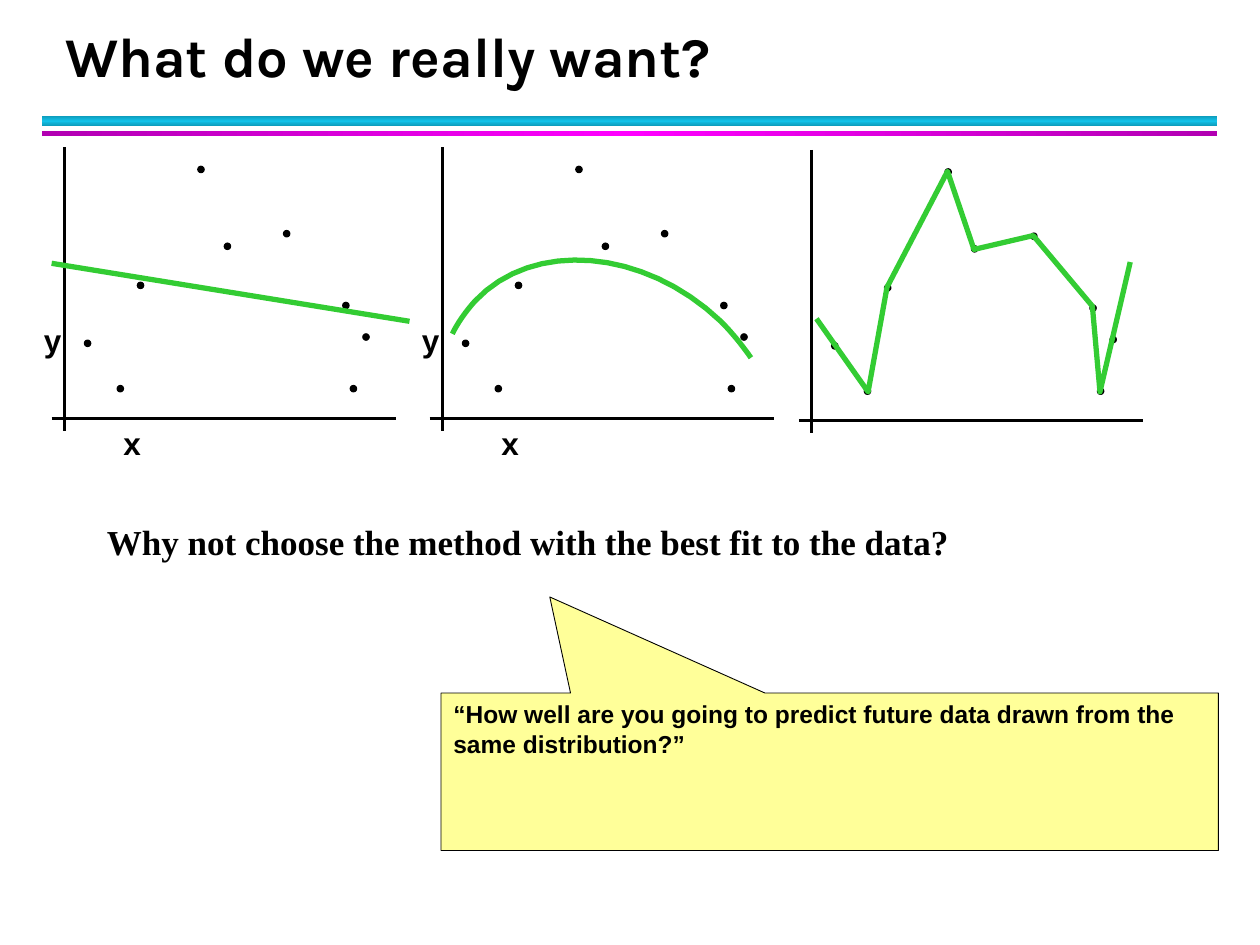
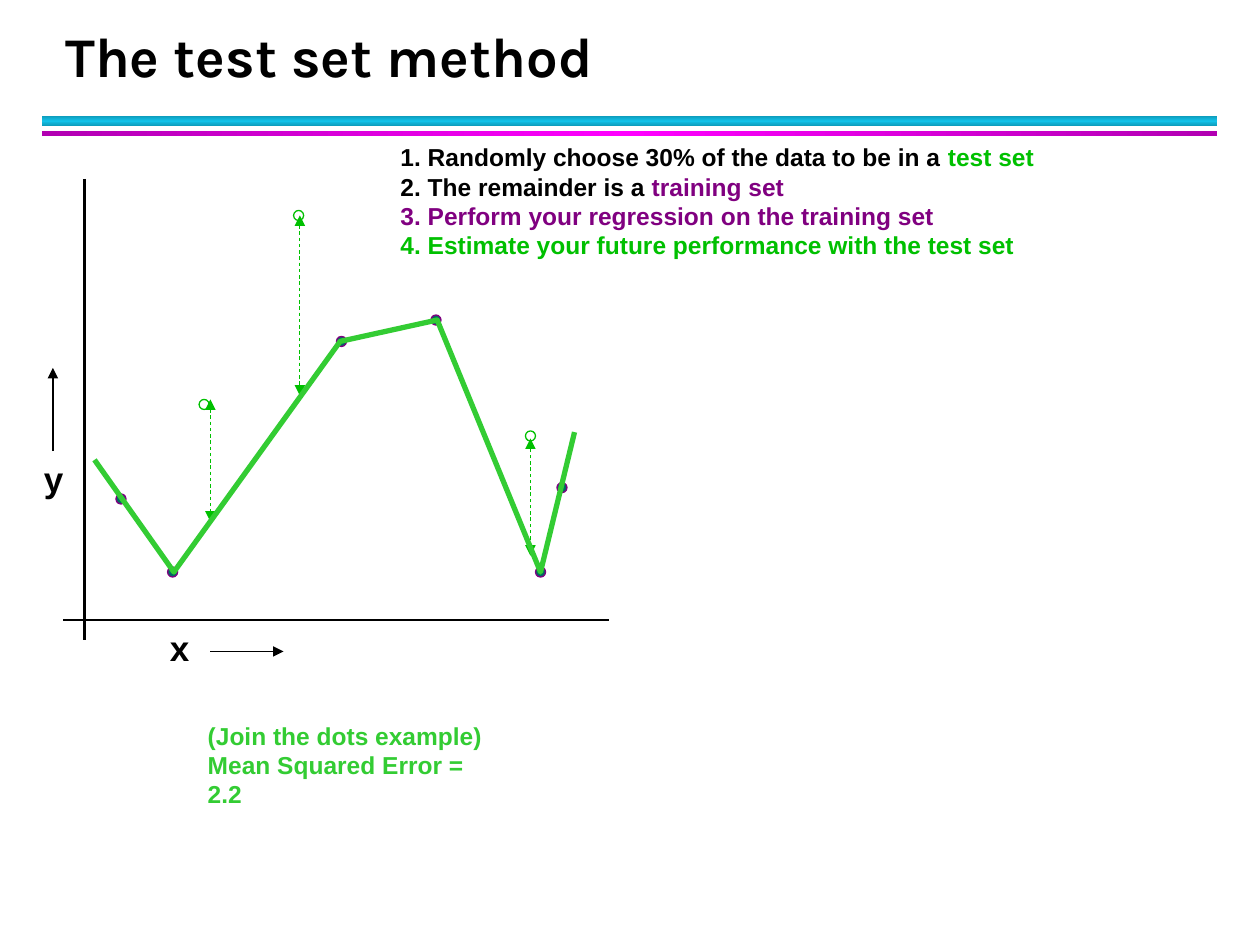
import copy
from dataclasses import dataclass
from typing import NamedTuple

import pptx
import pptx.dml.color
import pptx.enum.dml
import pptx.enum.shapes
import pptx.enum.text
import pptx.oxml.ns
import pptx.oxml.xmlchemy
import pptx.shapes.autoshape
import pptx.shapes.base
import pptx.slide
import pptx.text.text
import pptx.util
from lxml import etree

EMU_PER_PX = 9144
SHAPE = pptx.enum.shapes.MSO_SHAPE
ANCHOR = pptx.enum.text.MSO_ANCHOR


@dataclass(frozen=True)
class Theme:
    ink: str = "000000"
    paper: str = "FFFFFF"
    fit: str = "33CC33"
    test: str = "00C000"
    training: str = "800080"
    training_fill: str = "006B61"
    callout: str = "FFFF99"
    cyan_band: tuple[str, str, str] = ("0E9BBA", "12C2E9", "0E9BBA")
    magenta_band: tuple[str, str, str] = ("B200B2", "FF00FF", "B200B2")
    title_font: str = "Karla"
    body_font: str = "Arial"
    question_font: str = "Times New Roman"
    title_size: int = 32
    title_spacing: int = 36
    heading_size: int = 20
    label_size: int = 18
    body_size: int = 14
    fit_width: float = 3
    axis_width: float = 1.5
    thin_width: float = 0.75
    hair_width: float = 0.5


THEME = Theme()


class Point(NamedTuple):
    x: float
    y: float


class Box(NamedTuple):
    left: int
    top: int
    width: int
    height: int

    def moved(self, shift: Point) -> "Box":
        return Box(self.left + shift.x, self.top + shift.y, self.width, self.height)


class Span(NamedTuple):
    text: str
    color: str = THEME.ink


class Band(NamedTuple):
    box: Box
    colors: tuple[str, str, str]
    angle: int


class Segment(NamedTuple):
    start: Point
    end: Point
    color: str = THEME.ink
    width: float = THEME.axis_width
    dashed: bool = False
    arrows: tuple[str, ...] = ()

    def moved(self, shift: Point) -> "Segment":
        return self._replace(start=add(self.start, shift), end=add(self.end, shift))


class DotStyle(NamedTuple):
    size: int
    fill: str
    line: str


BANDS = (
    Band(Box(33, 92, 933, 8), THEME.cyan_band, 90),
    Band(Box(33, 104, 933, 4), THEME.magenta_band, 0),
)
BLACK_DOT = DotStyle(5, THEME.ink, THEME.ink)
TRAINING_DOT = DotStyle(8, THEME.training_fill, THEME.training)
TEST_DOT = DotStyle(8, THEME.paper, THEME.test)

PANEL_SHIFTS = (Point(0, 0), Point(300, 0), Point(593, 2))
PANEL_AXES = (
    Segment(Point(51, 117), Point(51, 342)),
    Segment(Point(41, 332), Point(314, 332)),
)
PANEL_DOTS = (
    (67, 270), (93, 306), (109, 224), (157, 132), (178, 193),
    (225, 183), (278, 306), (288, 265), (272, 240),
)
PANEL_LABELS = {"x": Box(88, 332, 21, 40), "y": Box(25, 250, 21, 40)}
ARC = (
    ((596, 284), (589, 274), (581, 264), (572, 255)),
    ((572, 255), (511, 197), (423, 190), (377, 239)),
    ((377, 239), (370, 247), (364, 255), (359, 265)),
)
JOINED_DOTS = (
    (648, 253), (689, 311), (704, 228), (752, 136), (773, 198),
    (820, 187), (867, 243), (873, 311), (897, 208),
)

TEST_AXES = (
    Segment(Point(67, 142), Point(67, 508)),
    Segment(Point(50, 492), Point(483, 492)),
)
AXIS_ARROWS = (
    Segment(Point(167, 517), Point(225, 517), width=THEME.thin_width, arrows=("tailEnd",)),
    Segment(Point(42, 358), Point(42, 292), width=THEME.thin_width, arrows=("tailEnd",)),
)
TEST_LABELS = {"x": Box(125, 492, 33, 44), "y": Box(25, 358, 33, 44)}
TRAINING_DOTS = ((92, 392), (133, 450), (267, 267), (342, 250), (425, 450), (442, 383))
TEST_DOTS = ((158, 317), (233, 167), (417, 342))
TRAINING_FIT = ((75, 365), (138, 454), (270, 271), (347, 254), (429, 454), (456, 343))
ERRORS = ((167, 317, 414), (238, 171, 314), (421, 441, 348))
STEPS = (
    (Span("1. Randomly choose 30% of the data to be in a "), Span("test set", THEME.test)),
    (Span("2. The remainder is a "), Span("training set", THEME.training)),
    (Span("3. Perform your regression on the training set", THEME.training),),
    (Span("4. Estimate your future performance with the test set", THEME.test),),
)
RESULT = (
    (Span("(Join the dots example)", THEME.fit),),
    (Span("Mean Squared Error = 2.2", THEME.fit),),
)


def add(point: Point, shift: Point) -> Point:
    return Point(point.x + shift.x, point.y + shift.y)


def emu(*lengths: float) -> list[int]:
    return [round(length * EMU_PER_PX) for length in lengths]


def rgb(color: str) -> pptx.dml.color.RGBColor:
    return pptx.dml.color.RGBColor.from_string(color)


def apply(target: object, values: dict[str, object]) -> None:
    for name, value in values.items():
        setattr(target, name, value)


def set_line(shape: object, color: str, width: float) -> None:
    shape.line.color.rgb = rgb(color)
    shape.line.width = pptx.util.Pt(width)


def draw_shape(
    page: pptx.slide.Slide, kind: SHAPE, box: Box, fill: str, line: str, width: float
) -> pptx.shapes.autoshape.Shape:
    shape = page.shapes.add_shape(kind, *emu(*box))
    shape.shadow.inherit = False
    shape.fill.solid()
    shape.fill.fore_color.rgb = rgb(fill)
    set_line(shape, line, width)
    return shape


def draw_band(page: pptx.slide.Slide, band: Band) -> None:
    shape = page.shapes.add_shape(SHAPE.RECTANGLE, *emu(*band.box))
    shape.shadow.inherit = False
    shape.line.fill.background()
    shape.fill.gradient()
    shape.fill.gradient_angle = band.angle
    stops = shape.element.spPr.find(".//" + pptx.oxml.ns.qn("a:gsLst"))
    stops.append(copy.deepcopy(stops[0]))
    for index, (stop, color) in enumerate(zip(shape.fill.gradient_stops, band.colors)):
        stop.position = index / 2
        stop.color.rgb = rgb(color)


def draw_segment(page: pptx.slide.Slide, segment: Segment) -> None:
    connector = page.shapes.add_connector(
        pptx.enum.shapes.MSO_CONNECTOR.STRAIGHT, *emu(*segment.start, *segment.end)
    )
    set_line(connector, segment.color, segment.width)
    if segment.dashed:
        connector.line.dash_style = pptx.enum.dml.MSO_LINE.DASH
    properties = connector.element.spPr
    outline = properties.find(pptx.oxml.ns.qn("a:ln"))
    for arrow in segment.arrows:
        etree.SubElement(outline, pptx.oxml.ns.qn(f"a:{arrow}"), type="triangle")
    etree.SubElement(properties, pptx.oxml.ns.qn("a:effectLst"))


def draw_fit(page: pptx.slide.Slide, points: tuple | list) -> None:
    corners = [emu(*point) for point in points]
    builder = page.shapes.build_freeform(*corners[0])
    builder.add_line_segments(corners[1:], close=False)
    fit = builder.convert_to_shape()
    fit.shadow.inherit = False
    fit.fill.background()
    set_line(fit, THEME.fit, THEME.fit_width)


def draw_dots(
    page: pptx.slide.Slide, corners: tuple, style: DotStyle, shift: Point = Point(0, 0)
) -> None:
    for left, top in corners:
        box = Box(left, top, style.size, style.size).moved(shift)
        draw_shape(page, SHAPE.OVAL, box, style.fill, style.line, THEME.thin_width)


def fill_text(
    frame: pptx.text.text.TextFrame,
    lines: tuple,
    size: int,
    font: str = THEME.body_font,
    anchor: ANCHOR = ANCHOR.TOP,
    wrap: bool = True,
) -> None:
    apply(frame, {"word_wrap": wrap, "vertical_anchor": anchor})
    for index, spans in enumerate(lines):
        para = frame.add_paragraph() if index else frame.paragraphs[0]
        para.alignment = pptx.enum.text.PP_ALIGN.LEFT
        for span in spans:
            run = para.add_run()
            run.text = span.text
            apply(run.font, {"name": font, "size": pptx.util.Pt(size), "bold": True})
            run.font.color.rgb = rgb(span.color)


def draw_text(
    page: pptx.slide.Slide, box: Box, lines: tuple, size: int, **options: object
) -> pptx.text.text.TextFrame:
    frame = page.shapes.add_textbox(*emu(*box)).text_frame
    fill_text(frame, lines, size, **options)
    return frame


def draw_labels(
    page: pptx.slide.Slide, labels: dict[str, Box], size: int, shift: Point = Point(0, 0)
) -> None:
    for text, box in labels.items():
        draw_text(page, box.moved(shift), ((Span(text),),), size)


def add_page(deck: object, title: str) -> pptx.slide.Slide:
    page = deck.slides.add_slide(deck.slide_layouts[6])
    for band in BANDS:
        draw_band(page, band)
    frame = draw_text(
        page, Box(42, 17, 906, 58), ((Span(title),),), THEME.title_size,
        font=THEME.title_font, anchor=ANCHOR.BOTTOM,
    )
    frame.paragraphs[0].line_spacing = pptx.util.Pt(THEME.title_spacing)
    return page


def sample_curve(curves: tuple, steps: int = 16) -> list[Point]:
    points = [Point(*curves[0][0])]
    for curve in curves:
        for step in range(1, steps + 1):
            t = step / steps
            weights = ((1 - t) ** 3, 3 * t * (1 - t) ** 2, 3 * t**2 * (1 - t), t**3)
            points.append(Point(*(sum(w * v for w, v in zip(weights, axis)) for axis in zip(*curve))))
    return points


def build_fits_page(deck: object) -> None:
    page = add_page(deck, "What do we really want?")
    for shift in PANEL_SHIFTS:
        for axis in PANEL_AXES:
            draw_segment(page, axis.moved(shift))
        draw_dots(page, PANEL_DOTS, BLACK_DOT, shift)
    for shift in PANEL_SHIFTS[:2]:
        draw_labels(page, PANEL_LABELS, THEME.label_size, shift)
    draw_segment(page, Segment(Point(41, 209), Point(325, 255), THEME.fit, THEME.fit_width))
    draw_fit(page, sample_curve(ARC))
    draw_fit(page, JOINED_DOTS)
    question = Span("Why not choose the method with the best fit to the data?")
    draw_text(
        page, Box(75, 408, 906, 44), ((question,),), THEME.heading_size, font=THEME.question_font
    )
    callout = draw_shape(
        page, SHAPE.RECTANGULAR_CALLOUT, Box(350, 550, 617, 125),
        THEME.callout, THEME.ink, THEME.hair_width,
    )
    callout.adjustments[0], callout.adjustments[1] = -0.36, -1.11
    answer = Span("“How well are you going to predict future data drawn from the same distribution?”")
    fill_text(callout.text_frame, ((answer,),), THEME.body_size)


def build_test_set_page(deck: object) -> None:
    page = add_page(deck, "The test set method")
    for segment in TEST_AXES + AXIS_ARROWS:
        draw_segment(page, segment)
    draw_dots(page, TRAINING_DOTS, TRAINING_DOT)
    draw_dots(page, TEST_DOTS, TEST_DOT)
    draw_labels(page, TEST_LABELS, THEME.heading_size)
    draw_text(page, Box(308, 108, 659, 104), STEPS, THEME.body_size)
    draw_text(page, Box(155, 567, 255, 57), RESULT, THEME.body_size, wrap=False)
    for x, start, end in ERRORS:
        draw_segment(page, Segment(
            Point(x, start), Point(x, end), THEME.test, THEME.hair_width, True, ("headEnd", "tailEnd")
        ))
    draw_fit(page, TRAINING_FIT)


def main() -> None:
    deck = pptx.Presentation()
    deck.slide_width, deck.slide_height = emu(1000, 750)
    build_fits_page(deck)
    build_test_set_page(deck)
    deck.save("out.pptx")


if __name__ == "__main__":
    main()
